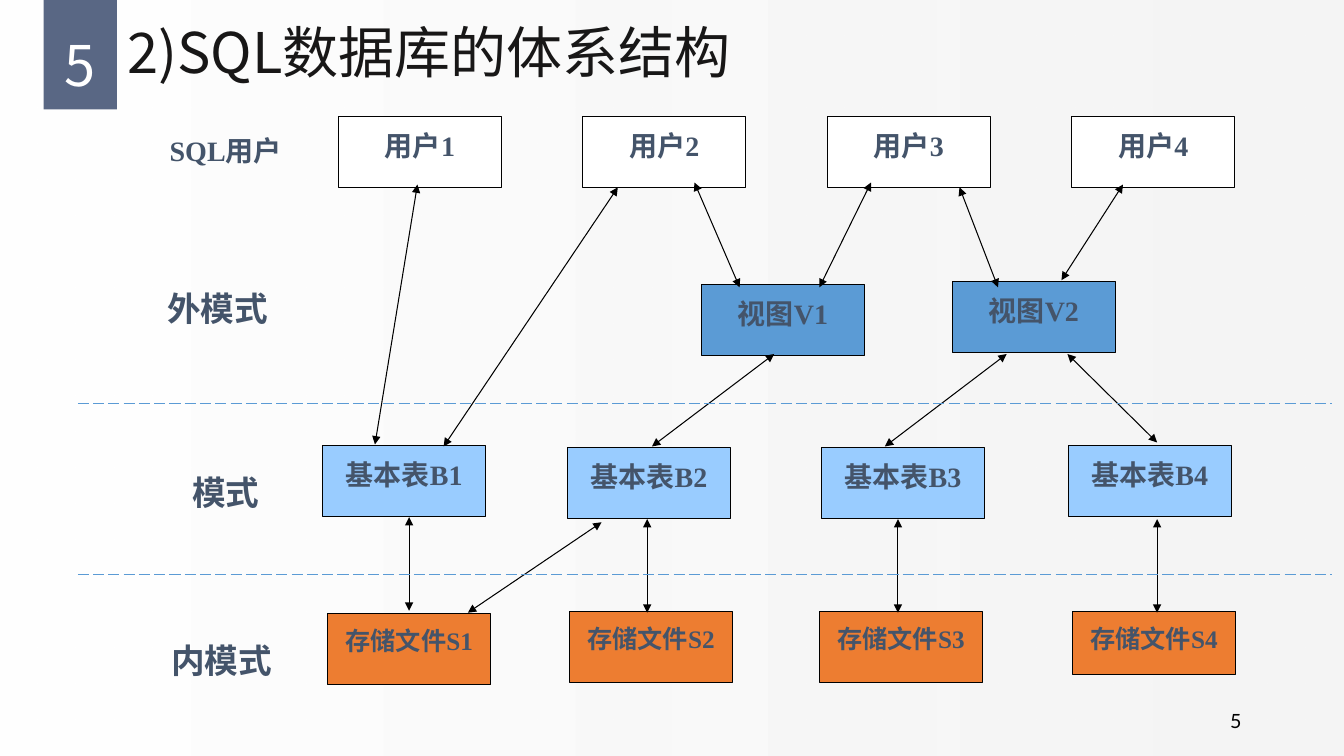
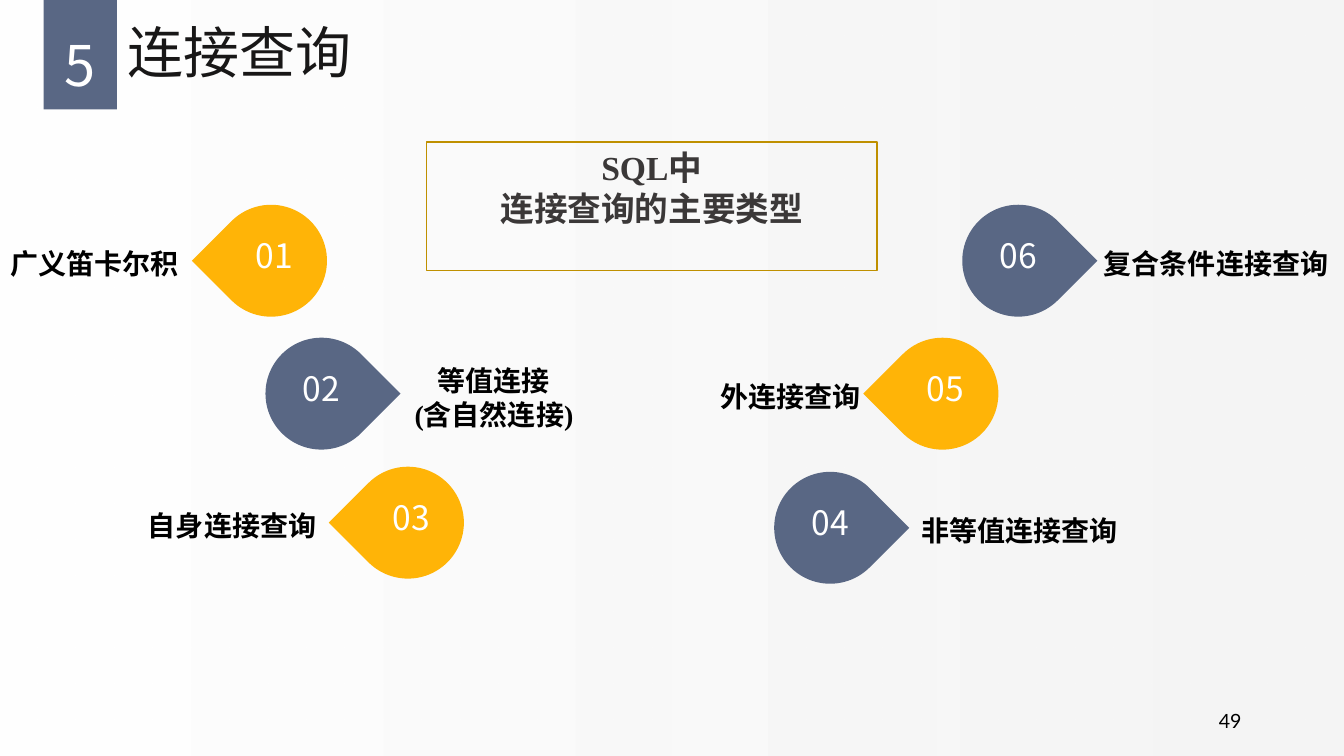
import pptx
import pptx.dml.color
import pptx.enum.dml
import pptx.enum.shapes
import pptx.enum.text
import pptx.oxml
import pptx.oxml.ns
import pptx.util

Cm = pptx.util.Cm
SHAPE = pptx.enum.shapes.MSO_SHAPE
ALIGN = pptx.enum.text.PP_ALIGN
ANCHOR = pptx.enum.text.MSO_ANCHOR

COLORS = {
    "white": "FFFFFF", "shade": "F2F2F2", "slate": "596784", "title": "181717",
    "black": "000000", "label": "44546A", "view": "5B9BD5", "table": "99CCFF",
    "file": "ED7D31", "gold": "BF9000", "heading": "3B3838", "amber": "FFB407",
}
SANS, SERIF, LATO = "Noto Sans CJK SC", "Times New Roman", "Lato"
EAST_ASIAN = {SANS: SANS, SERIF: LATO, LATO: LATO}
SLIDE_W, SLIDE_H = 33.87, 19.05
BOX_W, BOX_H = 4.11, 1.79
DROP_D = 2.82


def rgb(name):
    return pptx.dml.color.RGBColor.from_string(COLORS[name])


def append_xml(parent, tag, **attributes):
    parent.append(parent.makeelement(pptx.oxml.ns.qn(tag), attributes))


# Basic elements

def write(sp, text, font, size, color, bold=False, align=ALIGN.CENTER,
          anchor=ANCHOR.TOP, spacing=None, insets=(0.25, 0.13)):
    tf = sp.text_frame
    tf.word_wrap = True
    tf.vertical_anchor = anchor
    tf.margin_left = tf.margin_right = Cm(insets[0])
    tf.margin_top = tf.margin_bottom = Cm(insets[1])
    tf.text = text
    for p in tf.paragraphs:
        p.alignment = align
        if spacing:
            p.line_spacing = spacing
        for r in p.runs:
            r.font.name, r.font.size, r.font.bold = font, pptx.util.Pt(size), bold
            r.font.color.rgb = rgb(color)
            append_xml(r.font._element, "a:ea", typeface=EAST_ASIAN[font])


def add_text(s, x, y, w, h, text, *style, **options):
    sp = s.shapes.add_textbox(Cm(x), Cm(y), Cm(w), Cm(h))
    write(sp, text, *style, **options)


def add_block(s, kind, x, y, w, h, fill=None, line=None, weight=0.75):
    sp = s.shapes.add_shape(kind, Cm(x), Cm(y), Cm(w), Cm(h))
    sp.shadow.inherit = False
    if fill:
        sp.fill.solid()
        sp.fill.fore_color.rgb = rgb(fill)
    else:
        sp.fill.background()
    if line:
        sp.line.color.rgb = rgb(line)
        sp.line.width = pptx.util.Pt(weight)
    else:
        sp.line.fill.background()
    return sp


def add_line(s, x1, y1, x2, y2, color, weight):
    c = s.shapes.add_connector(pptx.enum.shapes.MSO_CONNECTOR.STRAIGHT,
                               Cm(x1), Cm(y1), Cm(x2), Cm(y2))
    c.line.color.rgb = rgb(color)
    c.line.width = pptx.util.Pt(weight)
    append_xml(c._element.spPr, "a:effectLst")
    return c


# Elements of the architecture diagram

def add_box(s, x, y, text, fill, size=20, h=BOX_H):
    sp = add_block(s, SHAPE.RECTANGLE, x, y, BOX_W, h, fill, "black")
    write(sp, text, SERIF, size, "label", bold=True, insets=(0, 0.3))


def add_arrow(s, x1, y1, x2, y2):
    c = add_line(s, x1, y1, x2, y2, "black", 0.75)
    for end in ("a:headEnd", "a:tailEnd"):
        append_xml(c.line._get_or_add_ln(), end, type="triangle")


def add_divider(s, y):
    c = add_line(s, 1.96, y, 33.58, y, "view", 1)
    c.line.dash_style = pptx.enum.dml.MSO_LINE.LONG_DASH


# Elements of the join overview

def add_drop(s, number, cx, cy, points_right):
    color = "slate" if points_right else "amber"
    r = DROP_D / 2
    sp = add_block(s, SHAPE.TEAR, cx - r, cy - r, DROP_D, DROP_D, color)
    sp.rotation = 45 if points_right else 225
    shift = 0 if points_right else 0.08
    plate = add_block(s, SHAPE.RECTANGLE, cx - 0.76 + shift, cy - 0.79, 1.52, 1.27, color)
    write(plate, number, SANS, 24, "white", insets=(0, 0.13))


def add_join_name(s, x, y, text):
    add_text(s, x, y, 0.71 * len(text) + 0.1, 1.14, text, SERIF, 20, "black",
             bold=True, align=ALIGN.LEFT, spacing=1.1, insets=(0, 0.13))


# Shared frame: background, chapter band, title, page number

def add_backdrop(s):
    sp = add_block(s, SHAPE.RECTANGLE, 0, 0, SLIDE_W, SLIDE_H)
    sp.fill.gradient()
    sp.fill.gradient_angle = 0
    for stop, color in zip(sp.fill.gradient_stops, ("white", "shade")):
        stop.color.rgb = rgb(color)
    last = sp._element.spPr.findall(".//" + pptx.oxml.ns.qn("a:srgbClr"))[1]
    append_xml(last, "a:alpha", val="72000")


def new_slide(prs, title, page):
    s = prs.slides.add_slide(prs.slide_layouts[6])
    add_backdrop(s)
    add_block(s, SHAPE.RECTANGLE, 1.1, 0, 1.85, 2.76, "slate")
    add_text(s, 1.1, 0.26, 1.85, 2, "5", SANS, 40, "white", spacing=1.3, insets=(0, 0))
    add_text(s, 2.97, 0, 25.2, 2.79, title, SANS, 40, "title", align=ALIGN.LEFT,
             anchor=ANCHOR.MIDDLE, spacing=0.9)
    add_text(s, 23.92, 17.65, 7.62, 1.02, page, LATO, 14, "black",
             align=ALIGN.RIGHT, anchor=ANCHOR.MIDDLE)
    return s


def build_architecture(prs):
    s = new_slide(prs, "2)SQL数据库的体系结构", "5")

    # Boxes, one row per level
    for i in range(4):
        add_box(s, 8.53 + 6.16 * i, 2.94, f"用户{i + 1}", "white")
    for i, (x, y) in enumerate([(17.68, 7.16), (24, 7.1)], 1):
        add_box(s, x, y, f"视图V{i}", "view")
    tables = [(8.13, 11.23), (14.3, 11.28), (20.7, 11.28), (26.92, 11.23)]
    for i, (x, y) in enumerate(tables, 1):
        add_box(s, x, y, f"基本表B{i}", "table")
    files = [(8.26, 15.47, BOX_H), (14.35, 15.4, BOX_H),
             (20.65, 15.4, BOX_H), (27.03, 15.4, 1.6)]
    for i, (x, y, h) in enumerate(files, 1):
        add_box(s, x, y, f"存储文件S{i}", "file", 18, h)

    # Arrows between levels
    for ends in [
        (10.52, 4.65, 9.45, 11.2), (15.57, 4.72, 11.18, 11.25),    # user - table
        (17.5, 4.6, 18.64, 7.24), (21.95, 4.6, 20.65, 7.24),       # user - view
        (24.18, 4.72, 25.15, 7.24), (28.3, 4.65, 26.75, 7.06),
        (19.51, 8.92, 16.43, 11.25), (25.37, 8.92, 22.3, 11.25),   # view - table
        (26.9, 8.92, 29.16, 11.15),
        (10.31, 13.03, 10.31, 15.39), (15.16, 13.16, 11.79, 15.44),  # table - file
    ]:
        add_arrow(s, *ends)
    for x in (16.31, 22.63, 29.16):
        add_arrow(s, x, 13.08, x, 15.44)

    # Level names and dividers
    for x, y, text, size in [(3.81, 3.06, "SQL用户", 20), (3.6, 6.95, "外模式", 24),
                             (3.81, 11.58, "模式", 24), (3.71, 15.82, "内模式", 24)]:
        add_text(s, x, y, 3.76, 1.32, text, SERIF, size, "label", bold=True,
                 insets=(0, 0.3))
    for y in (10.16, 14.48):
        add_divider(s, y)


def build_joins(prs):
    s = new_slide(prs, "连接查询", "49")

    # Framed heading
    sp = add_block(s, SHAPE.RECTANGLE, 10.75, 3.58, 11.35, 3.24, line="gold", weight=1)
    write(sp, "SQL中\n连接查询的主要类型", SERIF, 24, "heading", bold=True)

    # Numbered drops: even numbers point right, odd ones left
    centres = [(6.83, 6.57), (8.1, 9.92), (10.28, 13.17),
               (20.92, 13.3), (23.75, 9.92), (25.66, 6.57)]
    for i, (cx, cy) in enumerate(centres, 1):
        add_drop(s, f"{i:02}", cx, cy, i % 2 == 0)

    # Join names
    for x, y, text in [(0.26, 5.99, "广义笛卡尔积"), (3.73, 12.6, "自身连接查询"),
                       (23.22, 12.73, "非等值连接查询"), (18.16, 9.35, "外连接查询"),
                       (27.82, 5.99, "复合条件连接查询")]:
        add_join_name(s, x, y, text)
    add_text(s, 10.15, 9.04, 4.6, 1.96, "等值连接\n(含自然连接)", SERIF, 20, "black",
             bold=True)


def main():
    prs = pptx.Presentation()
    prs.slide_width, prs.slide_height = Cm(SLIDE_W), Cm(SLIDE_H)
    build_architecture(prs)
    build_joins(prs)
    prs.save("out.pptx")


if __name__ == "__main__":
    main()
